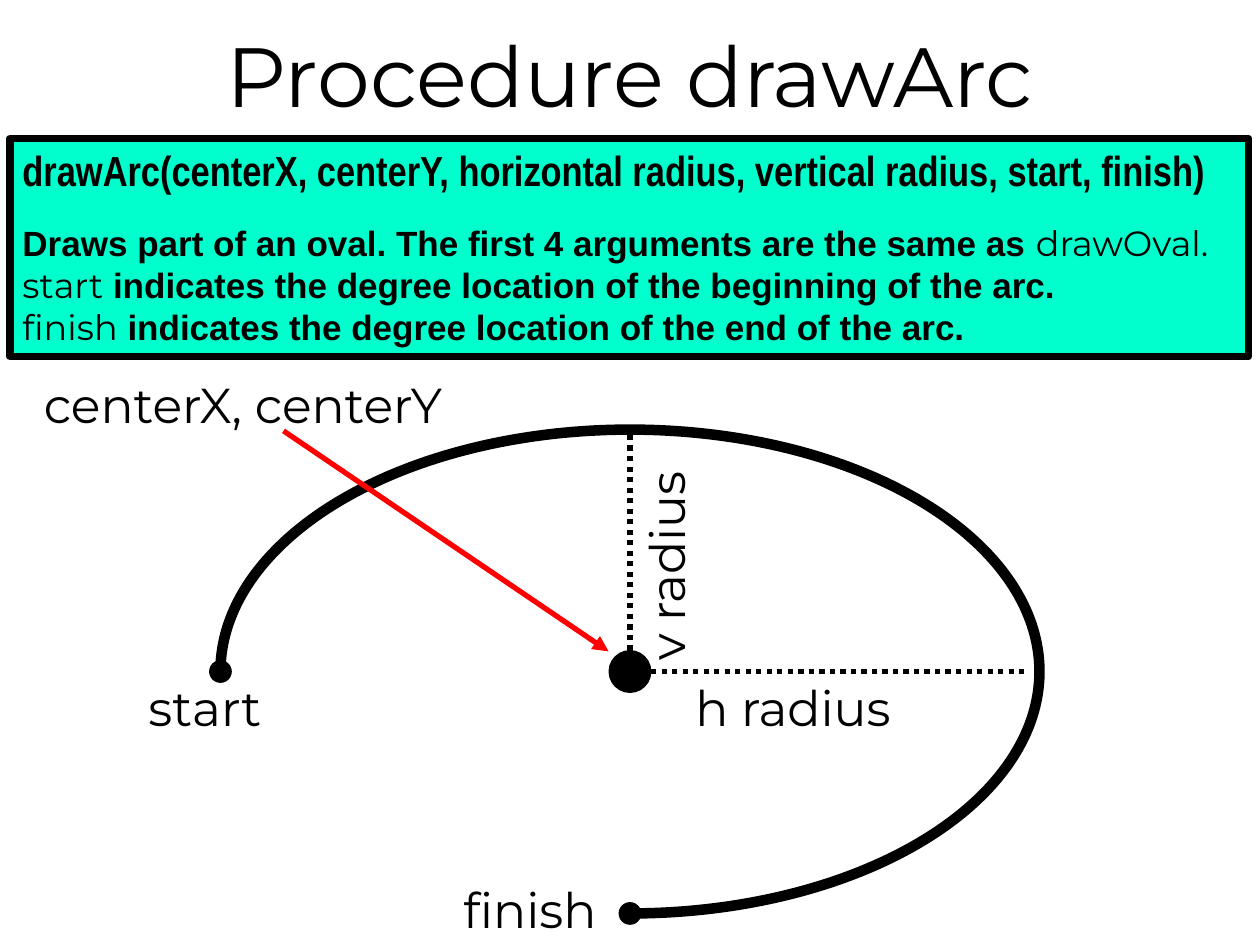
from pptx import Presentation
from pptx.dml.color import RGBColor
from pptx.enum.dml import MSO_LINE as Dash
from pptx.enum.shapes import MSO_CONNECTOR as Conn, MSO_SHAPE as Geo
from pptx.enum.text import MSO_ANCHOR as Anchor, PP_ALIGN as Align
from pptx.oxml.ns import qn
from pptx.util import Inches, Pt
from lxml.etree import SubElement

# Content
COLORS = {"ink": "000000", "box": "00FFCC", "arrow": "FF0000"}
HEAD, BODY, CALL = "Montserrat", "Arial", "Arial Narrow"
TITLE = "Procedure drawArc"
# Each paragraph is a list of (text, font, size, bold)
USAGE = [
    [("drawArc(centerX, centerY, horizontal radius, vertical radius, start, finish)",
      CALL, 24, True)],
    [("Draws part of an oval. The first 4 arguments are the same as ", BODY, 20, True),
     ("drawOval.", HEAD, 20, False)],
    [("start", HEAD, 20, False),
     (" indicates the degree location of the beginning of the arc.", BODY, 20, True)],
    [("finish", HEAD, 20, False),
     (" indicates the degree location of the end of the arc.", BODY, 20, True)],
]
# text, left, top, width, rotation
LABELS = [
    ("centerX, centerY", 0.25, 2.92, 4, 0),
    ("start", 1.08, 5.33, 1.5, 0),
    ("finish", 3.58, 6.93, 1.5, 0),
    ("h radius", 5.42, 5.33, 2.17, 0),
    ("v radius", 4.2, 3.97, 2.17, 270),
]

# Geometry of the oval
CX, CY = 5, 5.33
RX, RY = 3.25, 1.92
RIM = CX + RX - 0.08
DOTS = [(CX, CY, 0.33), (CX - RX, CY, 0.17), (CX, CY + RY, 0.17)]

prs = Presentation()
prs.slide_width, prs.slide_height = Inches(10), Inches(7.5)
slide = prs.slides.add_slide(prs.slide_layouts[6])
shapes = slide.shapes


def color(name):
    return RGBColor.from_string(COLORS[name])


def write(frame, paras, align=Align.LEFT, anchor=Anchor.TOP, gap=0):
    """Fill a frame; gap is the space in points after the first paragraph."""
    frame.word_wrap = True
    frame.vertical_anchor = anchor
    for i, runs in enumerate(paras):
        para = frame.paragraphs[0] if i == 0 else frame.add_paragraph()
        para.alignment = align
        if i == 1:
            para.space_before = Pt(gap)
        for text, font, size, bold in runs:
            run = para.add_run()
            run.text = text
            run.font.name, run.font.size, run.font.bold = font, Pt(size), bold
            run.font.color.rgb = color("ink")


def label(text, x, y, w, h, size, turn=0, **style):
    box = shapes.add_textbox(*map(Inches, (x, y, w, h)))
    box.rotation = turn
    write(box.text_frame, [[(text, HEAD, size, False)]], **style)


def shape(geo, x, y, w, h, width, fill=None):
    part = shapes.add_shape(geo, *map(Inches, (x, y, w, h)))
    part.shadow.inherit = False
    if fill:
        part.fill.solid()
        part.fill.fore_color.rgb = color(fill)
    else:
        part.fill.background()
    part.line.color.rgb = color("ink")
    part.line.width = Pt(width)
    return part


def line(x1, y1, x2, y2, name="ink", dash=None, arrow=False):
    part = shapes.add_connector(Conn.STRAIGHT, *map(Inches, (x1, y1, x2, y2)))
    part.line.color.rgb = color(name)
    part.line.width = Pt(3)
    if dash:
        part.line.dash_style = dash
    if arrow:
        SubElement(part.line._get_or_add_ln(), qn("a:tailEnd"), type="triangle")
    SubElement(part._element.spPr, qn("a:effectLst"))


# Title and usage box
label(TITLE, 0, 0, 10, 1.17, 48, align=Align.CENTER, anchor=Anchor.MIDDLE)
usage = shape(Geo.RECTANGLE, 0.08, 1.1, 9.83, 1.73, 4.5, "box")
write(usage.text_frame, USAGE, gap=15)

# Arc, clockwise from 180 to 90 degrees (units of 1/60000 degree, scaled by 100000)
arc = shape(Geo.ARC, CX - RX, CY - RY, 2 * RX, 2 * RY, 6)
for i, angle in enumerate((180, 90)):
    arc.adjustments[i] = angle * 0.6

# Radii, pointer and dots
line(CX, CY, RIM, CY, dash=Dash.ROUND_DOT)
line(CX, CY, CX, CY - RY, dash=Dash.ROUND_DOT)
line(2.25, 3.42, 4.83, 5.17, name="arrow", arrow=True)
for x, y, size in DOTS:
    shape(Geo.OVAL, x - size / 2, y - size / 2, size, size, 0.75, "ink")

# Labels
for text, x, y, w, turn in LABELS:
    label(text, x, y, w, 0.57, 28, turn)

prs.save("out.pptx")
